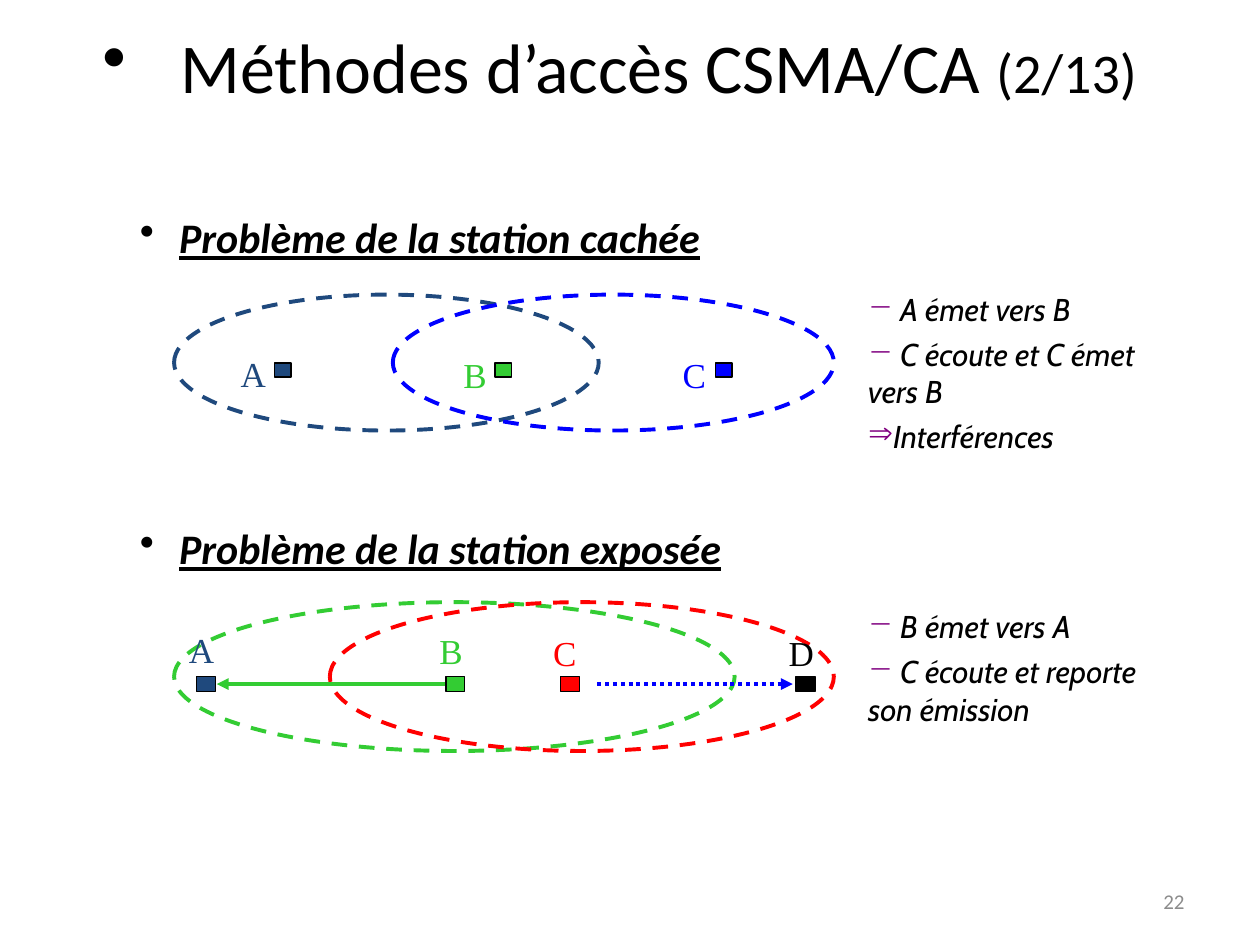
"""Build a slide on the hidden and exposed station problems of CSMA/CA."""
from pptx import Presentation
from pptx.dml.color import RGBColor
from pptx.enum.dml import MSO_LINE_DASH_STYLE as Dash
from pptx.enum.shapes import MSO_CONNECTOR as Connector, MSO_SHAPE as Shape
from pptx.enum.text import MSO_ANCHOR as Anchor, MSO_AUTO_SIZE as AutoSize, PP_ALIGN as Align
from pptx.oxml.ns import qn
from pptx.util import Cm, Pt
from lxml.etree import SubElement

NAVY, BLUE, GREEN, RED, BLACK = "1F497D", "0000FF", "33CC33", "FF0000", "000000"
PURPLE, GREY = "800080", "8C8C8C"

TITLE = [("Méthodes d’accès CSMA/CA ", 40), ("(2/13)", 32)]
PAGE_NUMBER = "22"
SCENES = [
    {
        "heading": ("Problème de la station cachée", 4.14),
        "ranges": [(3.51, 5.94, 8.56, 2.74, NAVY), (7.92, 5.94, 8.89, 2.74, BLUE)],
        "node_box": (7.32, 0.33, 0.28),
        "nodes": [("A", 5.54, 4.6, 6.98, NAVY), ("B", 9.98, 9.09, 7.01, GREEN),
                  ("C", 14.43, 13.51, 7.01, BLUE)],
        "arrows": [],
        "notes": (5.72, 3.61, [("−", " A émet vers B"), ("−", " C écoute et C émet vers B"),
                               ("⇒", "Interférences")]),
    },
    {
        "heading": ("Problème de la station exposée", 10.41),
        "ranges": [(3.51, 12.14, 11.3, 3, GREEN), (6.65, 12.14, 10.16, 3, RED)],
        "node_box": (13.64, 0.38, 0.3),
        "nodes": [("A", 3.96, 3.56, 12.55, NAVY), ("B", 8.99, 8.61, 12.57, GREEN),
                  ("C", 11.3, 10.9, 12.6, RED), ("D", 16.05, 15.65, 12.6, BLACK)],
        "arrows": [(8.97, 4.37, GREEN, Dash.SOLID), (12.04, 15.98, BLUE, Dash.ROUND_DOT)],
        "notes": (12.12, 2.69, [("−", " B émet vers A"), ("−", " C écoute et reporte son émission")]),
    },
]


def color(value):
    return RGBColor.from_string(value)


def add_bullet(paragraph, character, hex_color=None, indent=0):
    properties = paragraph._p.get_or_add_pPr()
    properties.set("marL", str(Cm(indent)))
    properties.set("indent", str(-Cm(indent)))
    if hex_color:
        SubElement(SubElement(properties, qn("a:buClr")), qn("a:srgbClr")).set("val", hex_color)
    SubElement(properties, qn("a:buChar")).set("char", character)


def write(paragraph, text, size=18, font="Calibri", hex_color=BLACK, align=Align.LEFT,
          bold=False, italic=False, underline=False):
    paragraph.alignment = align
    run = paragraph.add_run()
    run.text = text
    run.font.size, run.font.name = Pt(size), font
    run.font.bold, run.font.italic, run.font.underline = bold, italic, underline
    run.font.color.rgb = color(hex_color)


def add_text_box(slide, *box, anchor=Anchor.TOP):
    frame = slide.shapes.add_textbox(*map(Cm, box)).text_frame
    frame.word_wrap = True
    frame.vertical_anchor = anchor
    return frame


def add_outline(slide, kind, *box, line, width, fill=None, dash=Dash.SOLID):
    shape = slide.shapes.add_shape(kind, *map(Cm, box))
    shape.shadow.inherit = False
    if fill:
        shape.fill.solid()
        shape.fill.fore_color.rgb = color(fill)
    else:
        shape.fill.background()
    shape.line.color.rgb = color(line)
    shape.line.width, shape.line.dash_style = Pt(width), dash


def add_arrow(slide, start, end, y, hex_color, dash):
    arrow = slide.shapes.add_connector(Connector.STRAIGHT, Cm(start), Cm(y), Cm(end), Cm(y))
    arrow.line.color.rgb = color(hex_color)
    arrow.line.width, arrow.line.dash_style = Pt(2.25), dash
    SubElement(arrow.line._get_or_add_ln(), qn("a:tailEnd")).set("type", "triangle")
    SubElement(arrow._element.spPr, qn("a:effectLst"))


def add_title(slide):
    title = slide.shapes.title
    title.left, title.top, title.width, title.height = map(Cm, (-0.41, -0.51, 25.81, 3.68))
    frame = title.text_frame
    frame.auto_size, frame.vertical_anchor = AutoSize.NONE, Anchor.MIDDLE
    paragraph = frame.paragraphs[0]
    for text, size in TITLE:
        write(paragraph, text, size=size, align=Align.CENTER)
    add_bullet(paragraph, "•", indent=1.57)


def add_notes(slide, top, height, notes):
    frame = add_text_box(slide, 17.25, top, 6.78, height)
    for index, (bullet, text) in enumerate(notes):
        paragraph = frame.add_paragraph() if index else frame.paragraphs[0]
        write(paragraph, text, font="Cabin", italic=True)
        paragraph.space_before = Pt(4)
        add_bullet(paragraph, bullet, PURPLE)


def add_scene(slide, scene):
    text, top = scene["heading"]
    paragraph = add_text_box(slide, 1.3, top, 22.61, 1.27).paragraphs[0]
    write(paragraph, text, size=24, bold=True, italic=True, underline=True)
    add_bullet(paragraph, "•", indent=2.06)
    paragraph._p.pPr.set("indent", str(-Cm(0.79)))

    for *box, hex_color in scene["ranges"]:
        add_outline(slide, Shape.OVAL, *box, line=hex_color, width=2.25, dash=Dash.DASH)
    node_top, width, height = scene["node_box"]
    for name, left, label_left, label_top, hex_color in scene["nodes"]:
        add_outline(slide, Shape.RECTANGLE, left, node_top, width, height,
                    line=BLACK, width=0.75, fill=hex_color)
        label = add_text_box(slide, label_left, label_top, 1.1, 0.85)
        write(label.paragraphs[0], name, size=20, font="Times New Roman", hex_color=hex_color)
    for start, end, hex_color, dash in scene["arrows"]:
        add_arrow(slide, start, end, node_top + height / 2, hex_color, dash)
    add_notes(slide, *scene["notes"])


def main():
    presentation = Presentation()
    presentation.slide_width, presentation.slide_height = Cm(25.4), Cm(19.05)
    slide = presentation.slides.add_slide(presentation.slide_layouts[5])
    add_title(slide)
    for scene in SCENES:
        add_scene(slide, scene)
    number = add_text_box(slide, 18.21, 17.65, 5.92, 1.02, anchor=Anchor.MIDDLE)
    write(number.paragraphs[0], PAGE_NUMBER, size=12, hex_color=GREY, align=Align.RIGHT)
    presentation.save("out.pptx")


if __name__ == "__main__":
    main()
